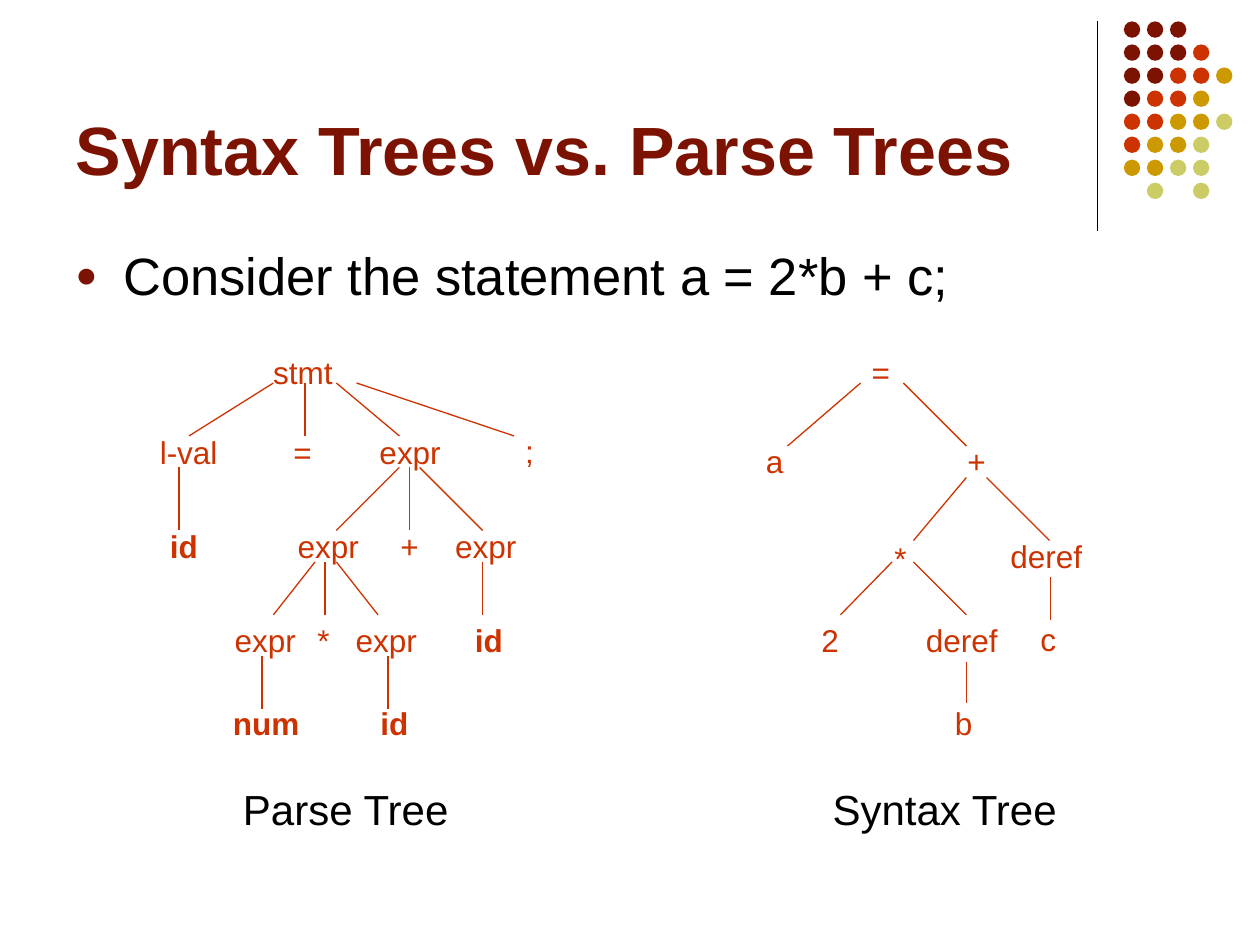
from lxml import etree
from pptx import Presentation
from pptx import util as u
from pptx.dml.color import RGBColor
from pptx.enum import shapes, text
from pptx.oxml import ns

HUES = {"dark": "7C1302", "red": "CC3300", "gold": "CC9900",
        "lime": "CCCC66", "black": "000000"}
FONT = "Arial"
DOTS = ["DDD", "DDDR", "DDRRG", "DRRG", "RRGGL", "RGGL", "GGLL", " L L"]
KEYS = {"D": "dark", "R": "red", "G": "gold", "L": "lime"}
WIDTHS = {"stmt": 0.67, "l-val": 0.66, "expr": 0.69, "deref": 0.77,
          "num": 0.73, "id": 0.42, "=": 0.35, "+": 0.35, "*": 0.3, ";": 0.27}
TOKENS = {"num", "id"}

# Nodes are (word, left, top); edges are (x1, y1, x2, y2).
PARSE = [("stmt", 2.07, 2.75),
         ("l-val", 1.17, 3.39), ("=", 2.23, 3.39), ("expr", 2.91, 3.39),
         (";", 4.07, 3.38),
         ("id", 1.25, 4.13), ("expr", 2.26, 4.13), ("+", 3.08, 4.13),
         ("expr", 3.51, 4.13),
         ("expr", 1.76, 4.88), ("*", 2.42, 4.88), ("expr", 2.72, 4.88),
         ("id", 3.67, 4.88),
         ("num", 1.75, 5.54), ("id", 2.92, 5.54)]
PARSE_EDGES = [(2.17, 3.04, 1.5, 3.46), (2.42, 3.04, 2.42, 3.46),
               (2.67, 3.04, 3.17, 3.46), (2.83, 3.04, 4.08, 3.46),
               (1.42, 3.71, 1.42, 4.21), (3.17, 3.71, 2.67, 4.21),
               (3.25, 3.71, 3.25, 4.21), (3.33, 3.71, 3.83, 4.21),
               (2.5, 4.46, 2.17, 4.88), (2.58, 4.46, 2.58, 4.88),
               (2.67, 4.46, 3, 4.88), (3.83, 4.46, 3.83, 4.88),
               (2.08, 5.21, 2.08, 5.63), (3.08, 5.21, 3.08, 5.63)]
SYNTAX = [("=", 6.82, 2.75), ("a", 5.98, 3.46), ("+", 7.58, 3.46),
          ("*", 7, 4.23), ("deref", 7.92, 4.21),
          ("2", 6.42, 4.88), ("deref", 7.25, 4.88), ("c", 8.16, 4.87),
          ("b", 7.48, 5.54)]
SYNTAX_EDGES = [(6.83, 3.04, 6.25, 3.54), (7.17, 3.04, 7.67, 3.54),
                (7.67, 3.79, 7.25, 4.29), (7.83, 3.79, 8.33, 4.29),
                (7.08, 4.46, 6.67, 4.88), (7.25, 4.46, 7.67, 4.88),
                (7.67, 5.25, 7.67, 5.58), (8.34, 4.58, 8.34, 4.92)]


def color(name):
    return RGBColor.from_string(HUES[name])


def place(shape, *box):
    shape.left, shape.top, shape.width, shape.height = map(u.Inches, box)


def add_run(para, words, size, hue, bold=False):
    run = para.add_run()
    run.text = words
    font = run.font
    font.name, font.size, font.bold = FONT, u.Pt(size), bold
    font.color.rgb = color(hue)


def add_label(parent, words, box, size, hue, bold=False):
    frame = parent.add_textbox(*map(u.Inches, box)).text_frame
    frame.word_wrap = False
    frame.auto_size = text.MSO_AUTO_SIZE.SHAPE_TO_FIT_TEXT
    para = frame.paragraphs[0]
    if words == "expr":
        para.alignment = text.PP_ALIGN.CENTER
    add_run(para, words, size, hue, bold)


def add_line(parent, ends, hue):
    line = parent.add_connector(shapes.MSO_CONNECTOR.STRAIGHT,
                                *map(u.Inches, ends))
    line.line.color.rgb = color(hue)
    line.line.width = u.Pt(0.75)
    etree.SubElement(line._element.spPr, ns.qn("a:effectLst"))


def add_tree(slide, nodes, edges):
    tree = slide.shapes.add_group_shape().shapes
    for word, left, top in nodes:
        box = (left, top, WIDTHS.get(word, 0.34), 0.4)
        add_label(tree, word, box, 18, "red", word in TOKENS)
    for edge in edges:
        add_line(tree, edge, "red")


def add_dots(slide):
    """Draw the corner ornament from its map of colour letters."""
    dots = slide.shapes.add_group_shape().shapes
    step = 1.28 / 7
    for row, marks in enumerate(DOTS):
        for col, mark in enumerate(marks):
            if mark == " ":
                continue
            box = (8.92 + col * step, 0.17 + row * step, 0.13, 0.13)
            dot = dots.add_shape(shapes.MSO_SHAPE.OVAL, *map(u.Inches, box))
            dot.shadow.inherit = False
            dot.fill.solid()
            dot.fill.fore_color.rgb = color(KEYS[mark])
            dot.line.fill.background()


def set_title(slide, words):
    title = slide.shapes.title
    place(title, 0.5, 0.13, 8.25, 1.42)
    frame = title.text_frame
    frame.auto_size = text.MSO_AUTO_SIZE.NONE
    frame.vertical_anchor = text.MSO_ANCHOR.BOTTOM
    para = frame.paragraphs[0]
    para.alignment = text.PP_ALIGN.LEFT
    add_run(para, words, 39, "dark", True)


def add_bullet(slide, words):
    frame = slide.shapes.add_textbox(
        *map(u.Inches, (0.5, 1.88, 9, 0.95))).text_frame
    frame.word_wrap = True
    para = frame.paragraphs[0]
    props = para._p.get_or_add_pPr()
    props.set("marL", str(u.Inches(0.38)))
    props.set("indent", str(-u.Inches(0.38)))
    tint = etree.SubElement(props, ns.qn("a:buClr"))
    etree.SubElement(tint, ns.qn("a:srgbClr"), val=HUES["dark"])
    etree.SubElement(props, ns.qn("a:buSzPct"), val="70000")
    etree.SubElement(props, ns.qn("a:buFont"), typeface=FONT)
    etree.SubElement(props, ns.qn("a:buChar"), char="●")
    add_run(para, words, 30, "black")


def main():
    deck = Presentation()
    deck.slide_width, deck.slide_height = u.Inches(10), u.Inches(7.5)
    slide = deck.slides.add_slide(deck.slide_layouts[5])
    add_line(slide.shapes, (8.71, 0.17, 8.71, 1.83), "black")
    add_dots(slide)
    set_title(slide, "Syntax Trees vs. Parse Trees")
    add_bullet(slide, "Consider the statement a = 2*b + c;")
    add_tree(slide, PARSE, PARSE_EDGES)
    add_tree(slide, SYNTAX, SYNTAX_EDGES)
    for words, left, width in (("Parse Tree", 1.83, 1.85),
                               ("Syntax Tree", 6.51, 2)):
        add_label(slide.shapes, words, (left, 6.17, width, 0.5), 24, "black")
    deck.save("out.pptx")


if __name__ == "__main__":
    main()
